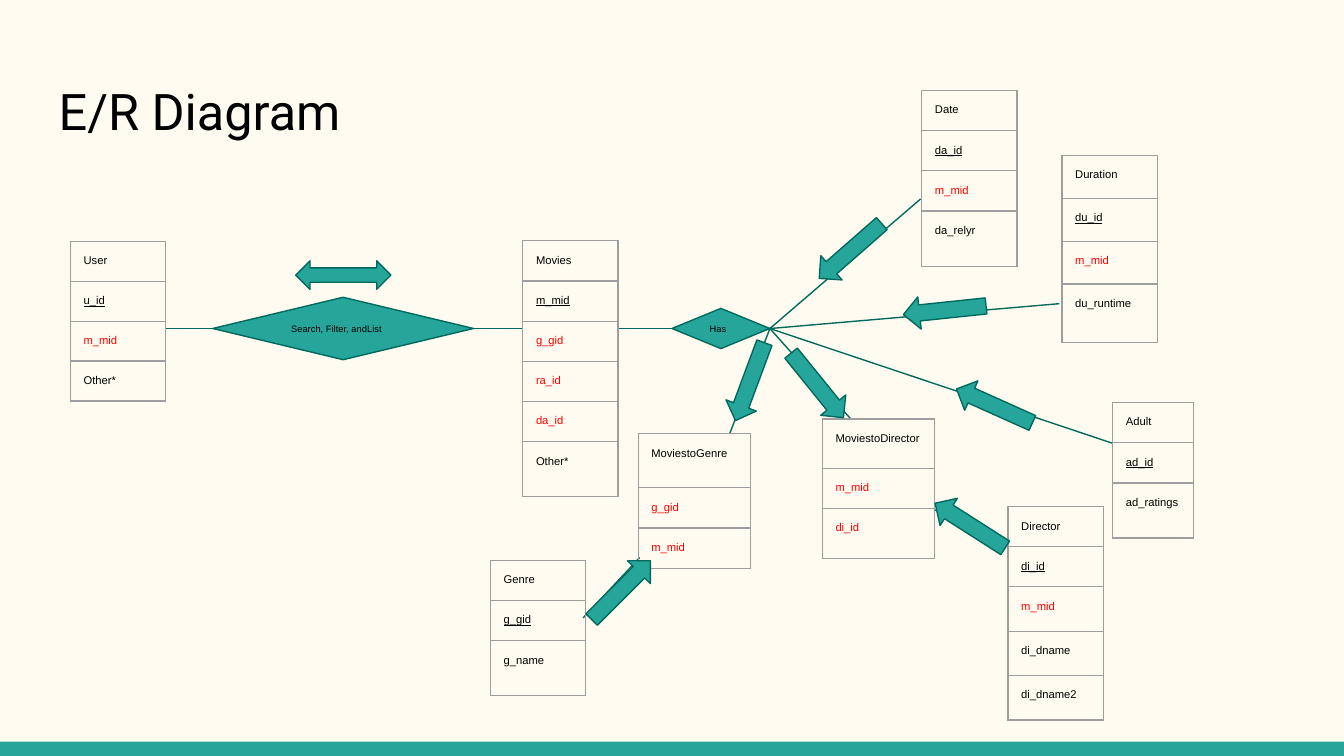
from lxml import etree
from pptx import Presentation
from pptx.dml.color import RGBColor
from pptx.enum.shapes import MSO_CONNECTOR, MSO_SHAPE
from pptx.enum.text import MSO_ANCHOR, PP_ALIGN
from pptx.oxml.ns import qn
from pptx.util import Cm, Pt

CREAM = RGBColor(0xFF, 0xFB, 0xF0)
TEAL = RGBColor(0x26, 0xA6, 0x9A)
DARK = RGBColor(0x00, 0x69, 0x5C)
GREY = RGBColor(0x9E, 0x9E, 0x9E)
RED = RGBColor(0xFF, 0x00, 0x00)
BLACK = RGBColor(0x00, 0x00, 0x00)
RECT = MSO_SHAPE.RECTANGLE
DIAMOND = MSO_SHAPE.DIAMOND
LEFT_ARROW = MSO_SHAPE.LEFT_ARROW
BOTH_ARROW = MSO_SHAPE.LEFT_RIGHT_ARROW
LINE = MSO_CONNECTOR.STRAIGHT
MIDDLE = MSO_ANCHOR.MIDDLE
LEFT = PP_ALIGN.LEFT
PAD = Cm(0.25)
MID = 6.21

deck = Presentation()
deck.slide_width = Cm(25.4)
deck.slide_height = Cm(14.29)
slide = deck.slides.add_slide(deck.slide_layouts[6])
slide.background.fill.solid()
slide.background.fill.fore_color.rgb = CREAM
shapes = slide.shapes


def add_solid(kind, x, y, w, h, turn=0):
    shape = shapes.add_shape(kind, Cm(x), Cm(y), Cm(w), Cm(h))
    shape.rotation = turn
    shape.shadow.inherit = False
    shape.fill.solid()
    shape.fill.fore_color.rgb = TEAL
    shape.line.color.rgb = DARK
    shape.line.width = Pt(0.75)
    return shape


def set_text(frame, text, name, size, color):
    frame.margin_left = frame.margin_right = PAD
    frame.margin_top = frame.margin_bottom = PAD
    frame.word_wrap = True
    frame.vertical_anchor = MIDDLE
    para = frame.paragraphs[0]
    para.text = text
    para.alignment = LEFT
    para.font.name = name
    para.font.size = Pt(size)
    para.font.color.rgb = color


bar = add_solid(RECT, 0, 14.02, 25.4, 0.27)
bar.line.fill.background()

title = shapes.add_textbox(Cm(0.86), Cm(1.24), Cm(9.63), Cm(1.7))
set_text(title.text_frame, "E/R Diagram", "Roboto", 27, BLACK)

search = add_solid(DIAMOND, 4.02, MID - 0.59, 4.93, 1.18)
set_text(search.text_frame, "Search, Filter, andList", "Arial", 5, BLACK)
has = add_solid(DIAMOND, 12.7, MID - 0.38, 1.85, 0.76)
set_text(has.text_frame, "Has", "Arial", 5, BLACK)

links = [
    (search, 1, 3.12, MID),
    (search, 3, 9.88, MID),
    (has, 1, 11.68, MID),
    (has, 3, 17.4, 3.76),
    (has, 3, 20.02, 5.74),
    (has, 3, 21.03, 8.38),
    (has, 3, 16.08, 7.92),
    (has, 3, 13.79, 8.2),
]
lines = []
for node, site, x, y in links:
    line = shapes.add_connector(LINE, Cm(x), Cm(y), Cm(x), Cm(y))
    line.begin_connect(node, site)
    lines.append(line)
for ends in [(12.09, 10.54, 11.02, 11.68), (17.65, 9.63, 19, 10.21)]:
    lines.append(shapes.add_connector(LINE, *[Cm(end) for end in ends]))
for line in lines:
    line.line.color.rgb = DARK
    line.line.width = Pt(0.75)
    etree.SubElement(line.element.spPr, qn("a:effectLst"))

tables = [
    (17.42, 1.71, 1.8, [0.76, 0.76, 0.76, 1.04],
     ["Date", "da_id", "m_mid", "da_relyr"]),
    (20.07, 2.94, 1.8, [0.81, 0.81, 0.81, 1.11],
     ["Duration", "du_id", "m_mid", "du_runtime"]),
    (9.88, 4.55, 1.8, [0.76] * 5 + [1.04],
     ["Movies", "m_mid", "g_gid", "ra_id", "da_id", "Other*"]),
    (9.27, 10.59, 1.8, [0.76, 0.76, 1.04],
     ["Genre", "g_gid", "g_name"]),
    (21.03, 7.61, 1.52, [0.76, 0.76, 1.04],
     ["Adult", "ad_id", "ad_ratings"]),
    (19.05, 9.58, 1.8, [0.74, 0.74, 0.84, 0.84, 0.84],
     ["Director", "di_id", "m_mid", "di_dname", "di_dname2"]),
    (1.33, 4.56, 1.8, [0.75] * 4,
     ["User", "u_id", "m_mid", "Other*"]),
    (15.54, 7.92, 2.12, [0.93, 0.75, 0.95],
     ["MoviestoDirector", "m_mid", "di_id"]),
    (12.06, 8.2, 2.12, [1.02, 0.76, 0.76],
     ["MoviestoGenre", "g_gid", "m_mid"]),
]
for x, y, wide, highs, names in tables:
    frame = shapes.add_table(len(names), 1, Cm(x), Cm(y), Cm(wide), Cm(sum(highs)))
    table = frame.table
    table.first_row = False
    table.horz_banding = False
    joint = names[0].startswith("Moviesto")
    for row, (high, name) in enumerate(zip(highs, names)):
        table.rows[row].height = Cm(high)
        cell = table.cell(row, 0)
        key = row == 1 and not joint
        color = RED if name.endswith("id") and not key else BLACK
        set_text(cell.text_frame, name, "Arial", 6, color)
        cell.text_frame.paragraphs[0].font.underline = key
        cell.margin_left = cell.margin_right = PAD
        cell.margin_top = cell.margin_bottom = PAD
        props = cell._tc.get_or_add_tcPr()
        for attr in list(props.attrib):
            if attr not in ("marL", "marR", "marT", "marB"):
                del props.attrib[attr]
        for side in ("a:lnL", "a:lnR", "a:lnT", "a:lnB"):
            edge = etree.SubElement(props, qn(side), w=str(Pt(0.75)))
            paint = etree.SubElement(edge, qn("a:solidFill"))
            etree.SubElement(paint, qn("a:srgbClr"), val=str(GREY))
        cell.fill.background()

add_solid(BOTH_ARROW, 5.59, 4.93, 1.8, 0.54)
arrows = [
    (18.01, 7.37, 24.2),
    (15.29, 4.44, 318.8),
    (13.39, 6.91, 290.4),
    (10.95, 10.85, 135),
    (17.55, 9.63, 32.5),
    (14.66, 6.98, 231),
    (17.07, 5.56, 354),
]
for x, y, turn in arrows:
    add_solid(LEFT_ARROW, x, y, 1.57, 0.61, turn)

deck.save("out.pptx")
